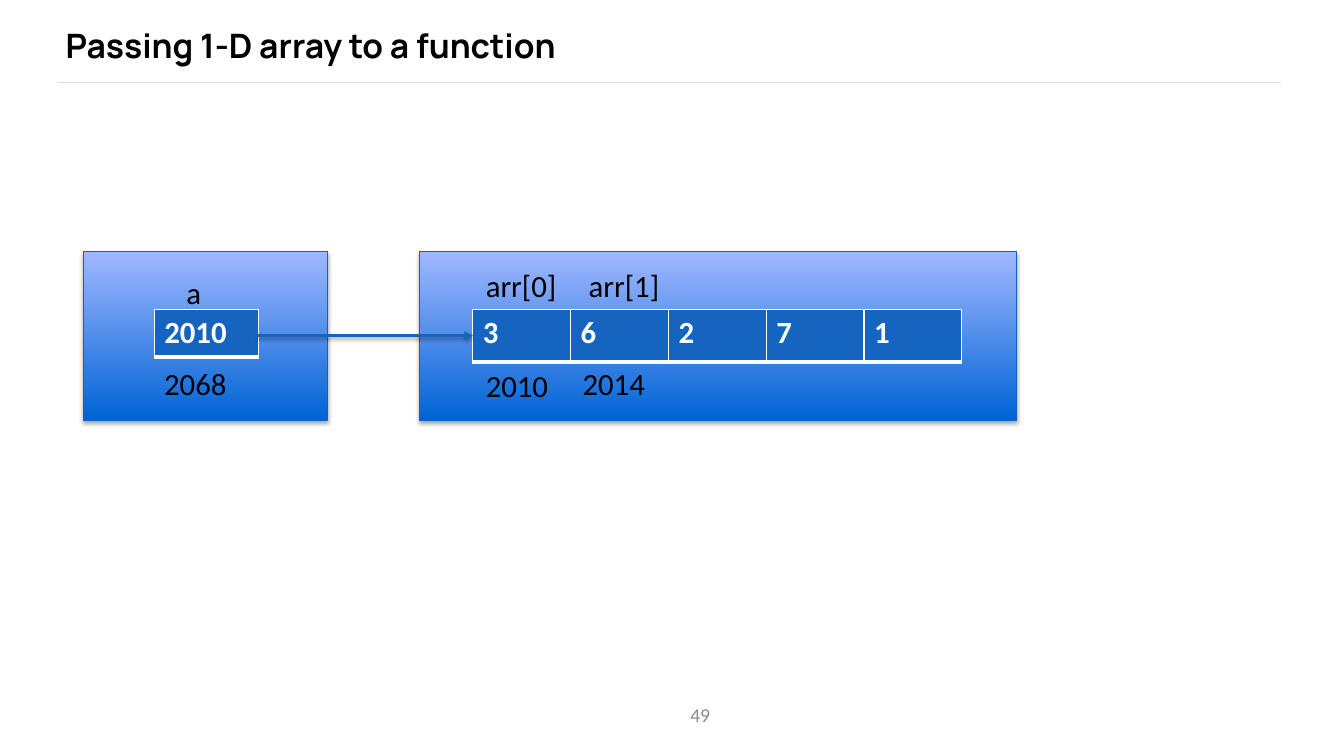
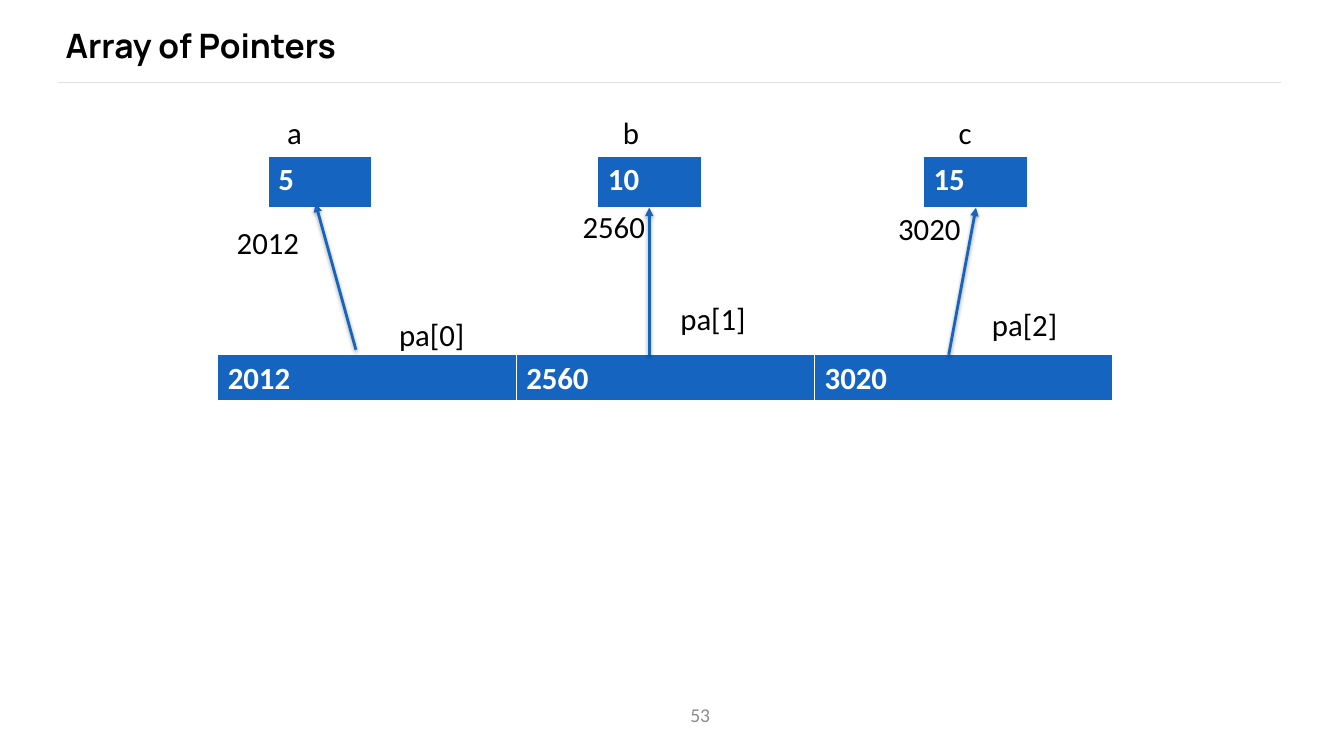
from dataclasses import dataclass

import pptx
import pptx.util
from lxml import etree
from pptx.dml.color import RGBColor
from pptx.enum.shapes import MSO_CONNECTOR, MSO_SHAPE
from pptx.enum.text import MSO_ANCHOR, PP_ALIGN
from pptx.oxml.ns import qn
from pptx.util import Inches, Pt


@dataclass(frozen=True)
class Theme:
    black: str = "000000"
    white: str = "FFFFFF"
    blue: str = "1565C0"
    panel_line: str = "1063C0"
    panel_bottom: str = "0064D5"
    panel_top: str = "A0B7FF"
    rule: str = "E0E0E0"
    page_number: str = "8C8C8C"
    title_font: str = "Manrope"
    body_font: str = "Calibri"
    title_size: int = 24
    body_size: int = 22
    number_size: int = 14


THEME = Theme()
LABEL_SIZE = (1.0, 0.47)
VARIABLE_WIDTH = 1.03

# Panels: left, top, width, height
# Tables: left, top, column width, row height, values
# Labels: text, left, top
# Arrows: start x, start y, end x, end y
SLIDES = [
    {
        "title": "Passing 1-D array to a function",
        "number": "49",
        "panels": [(0.83, 2.5, 2.42, 1.67), (4.16, 2.5, 5.92, 1.67)],
        "tables": [
            (4.69, 3.07, 0.97, 0.52, ["3", "6", "2", "7", "1"]),
            (1.53, 3.07, VARIABLE_WIDTH, 0.47, ["2010"]),
        ],
        "labels": [
            ("arr[0]", 4.72, 2.6), ("2010", 4.72, 3.59),
            ("arr[1]", 5.74, 2.6), ("2014", 5.68, 3.57),
            ("a", 1.75, 2.67), ("2068", 1.53, 3.57),
        ],
        "arrows": [(2.55, 3.33, 4.69, 3.33)],
    },
    {
        "title": "Array of Pointers",
        "number": "53",
        "panels": [],
        "tables": [(2.16, 3.52, 2.96, 0.47, ["2012", "2560", "3020"])] + [
            (left, 1.55, VARIABLE_WIDTH, 0.52, [value])
            for left, value in [(2.66, "5"), (5.93, "10"), (9.16, "15")]
        ],
        "labels": [
            ("a", 2.75, 1.08), ("b", 6.08, 1.08), ("c", 9.41, 1.08),
            ("2012", 2.25, 2.17), ("2560", 5.68, 2.01), ("3020", 8.81, 2.03),
            ("pa[0]", 3.86, 3.08), ("pa[1]", 6.65, 2.92), ("pa[2]", 9.74, 2.98),
        ],
        "arrows": [
            (3.53, 3.47, 3.13, 2.02),
            (6.44, 3.52, 6.44, 2.06),
            (9.41, 3.52, 9.68, 2.06),
        ],
    },
]


def color(value):
    return RGBColor.from_string(value)


def add_child(parent, tag, **attributes):
    child = etree.SubElement(parent, qn(tag))
    for name, value in attributes.items():
        child.set(name, str(value))
    return child


def add_solid_color(parent, value):
    return add_child(add_child(parent, "a:solidFill"), "a:srgbClr", val=value)


def add_shadow(effects, opacity, distance):
    """Append a soft black shadow that falls straight down."""
    shadow = add_child(effects, "a:outerShdw", blurRad=Pt(3.1),
                       dist=Pt(distance), dir=90 * 60000, rotWithShape=0)
    black = add_child(shadow, "a:srgbClr", val=THEME.black)
    add_child(black, "a:alpha", val=opacity * 1000)


def style_text(text_frame, text, size, text_color, font=THEME.body_font, bold=False):
    text_frame.text = text
    run_font = text_frame.paragraphs[0].runs[0].font
    run_font.name = font
    run_font.size = Pt(size)
    run_font.bold = bold
    run_font.color.rgb = color(text_color)


def add_text(slide, text, box, size, text_color, **style):
    text_frame = slide.shapes.add_textbox(*map(Inches, box)).text_frame
    text_frame.word_wrap = True
    style_text(text_frame, text, size, text_color, **style)
    return text_frame


def add_line(slide, ends, line_color, width):
    """Draw a straight line and return it with its empty effect list."""
    line = slide.shapes.add_connector(MSO_CONNECTOR.STRAIGHT, *map(Inches, ends))
    line.line.color.rgb = color(line_color)
    line.line.width = Pt(width)
    return line, add_child(line.element.spPr, "a:effectLst")


def add_frame(slide, title, number):
    """Add the rule, page number and title that every slide shares."""
    add_line(slide, (0.58, 0.82, 12.71, 0.82), THEME.rule, 0.75)

    footer = add_text(slide, number, (5.39, 6.89, 3.11, 0.4),
                      THEME.number_size, THEME.page_number)
    footer.vertical_anchor = MSO_ANCHOR.MIDDLE
    footer.paragraphs[0].alignment = PP_ALIGN.CENTER

    heading = add_text(slide, title, (0.65, 0.19, 12.05, 0.52), THEME.title_size,
                       THEME.black, font=THEME.title_font, bold=True)
    heading.vertical_anchor = MSO_ANCHOR.MIDDLE
    heading.margin_left = heading.margin_right = 0
    heading.margin_top = heading.margin_bottom = 0


def add_panel(slide, box):
    panel = slide.shapes.add_shape(MSO_SHAPE.RECTANGLE, *map(Inches, box))
    panel.fill.gradient()
    panel.fill.gradient_angle = 90
    stops = zip(panel.fill.gradient_stops, (THEME.panel_bottom, THEME.panel_top))
    for position, (stop, stop_color) in enumerate(stops):
        stop.position = position
        stop.color.rgb = color(stop_color)
    panel.line.color.rgb = color(THEME.panel_line)
    panel.line.width = Pt(0.75)
    panel.shadow.inherit = False
    add_shadow(panel.element.spPr.find(qn("a:effectLst")), 35, 1.8)


def add_memory_cells(slide, left, top, column_width, row_height, values):
    """Add a one-row table with one cell per stored value."""
    table = slide.shapes.add_table(
        1, len(values), Inches(left), Inches(top),
        Inches(column_width * len(values)), Inches(row_height)).table
    table.first_row = table.horz_banding = False
    table.rows[0].height = Inches(row_height)
    for index, value in enumerate(values):
        table.columns[index].width = Inches(column_width)
        cell = table.cell(0, index)
        style_text(cell.text_frame, value, THEME.body_size, THEME.white, bold=True)
        properties = cell._tc.get_or_add_tcPr()
        for side, width in (("L", 1), ("R", 1), ("T", 1), ("B", 3)):
            border = add_child(properties, f"a:ln{side}", w=Pt(width))
            add_solid_color(border, THEME.white)
        cell.fill.solid()
        cell.fill.fore_color.rgb = color(THEME.blue)


def add_arrow(slide, ends):
    arrow, effects = add_line(slide, ends, THEME.blue, 2)
    add_child(arrow.get_or_add_ln(), "a:tailEnd", type="triangle")
    add_shadow(effects, 38, 1.6)


def main():
    presentation = pptx.Presentation()
    presentation.slide_width = Inches(13.33)
    presentation.slide_height = Inches(7.5)
    for content in SLIDES:
        slide = presentation.slides.add_slide(presentation.slide_layouts[6])
        add_frame(slide, content["title"], content["number"])
        for box in content["panels"]:
            add_panel(slide, box)
        for cells in content["tables"]:
            add_memory_cells(slide, *cells)
        for ends in content["arrows"]:
            add_arrow(slide, ends)
        for text, left, top in content["labels"]:
            add_text(slide, text, (left, top, *LABEL_SIZE),
                     THEME.body_size, THEME.black)
    presentation.save("out.pptx")


if __name__ == "__main__":
    main()
